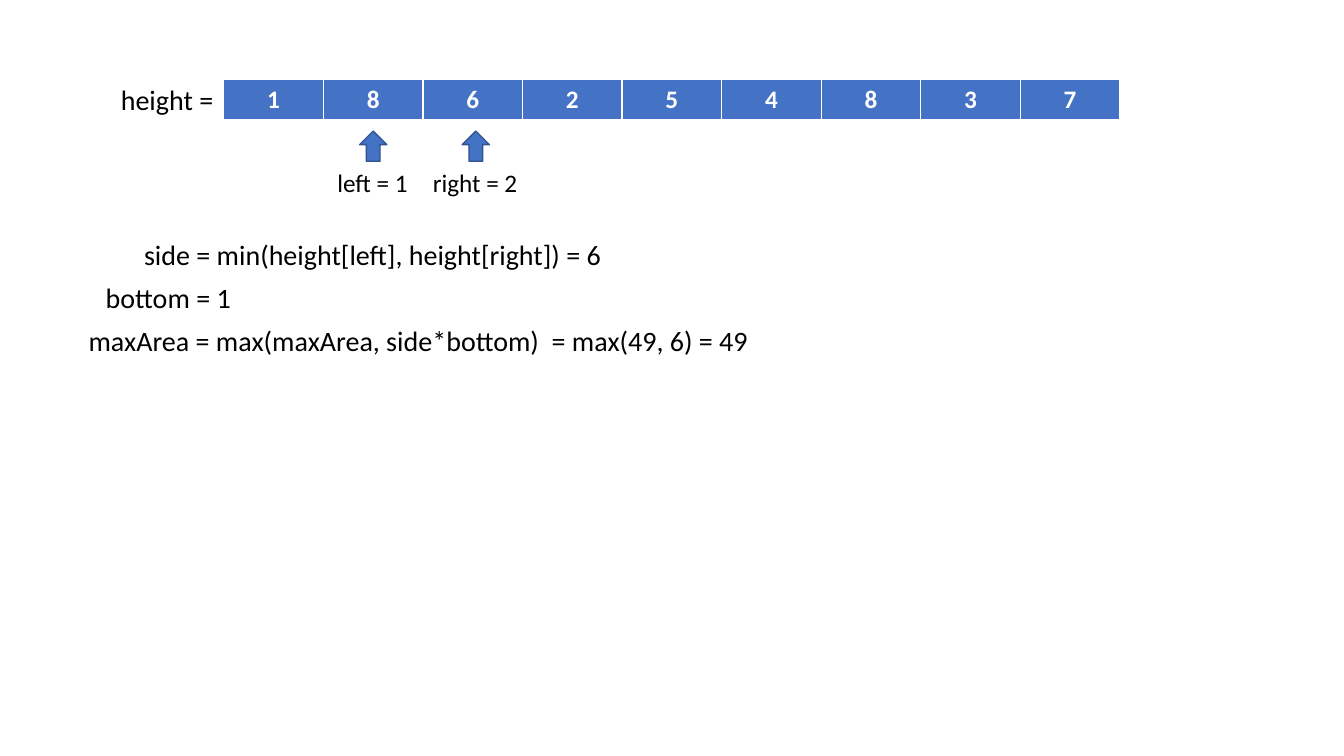
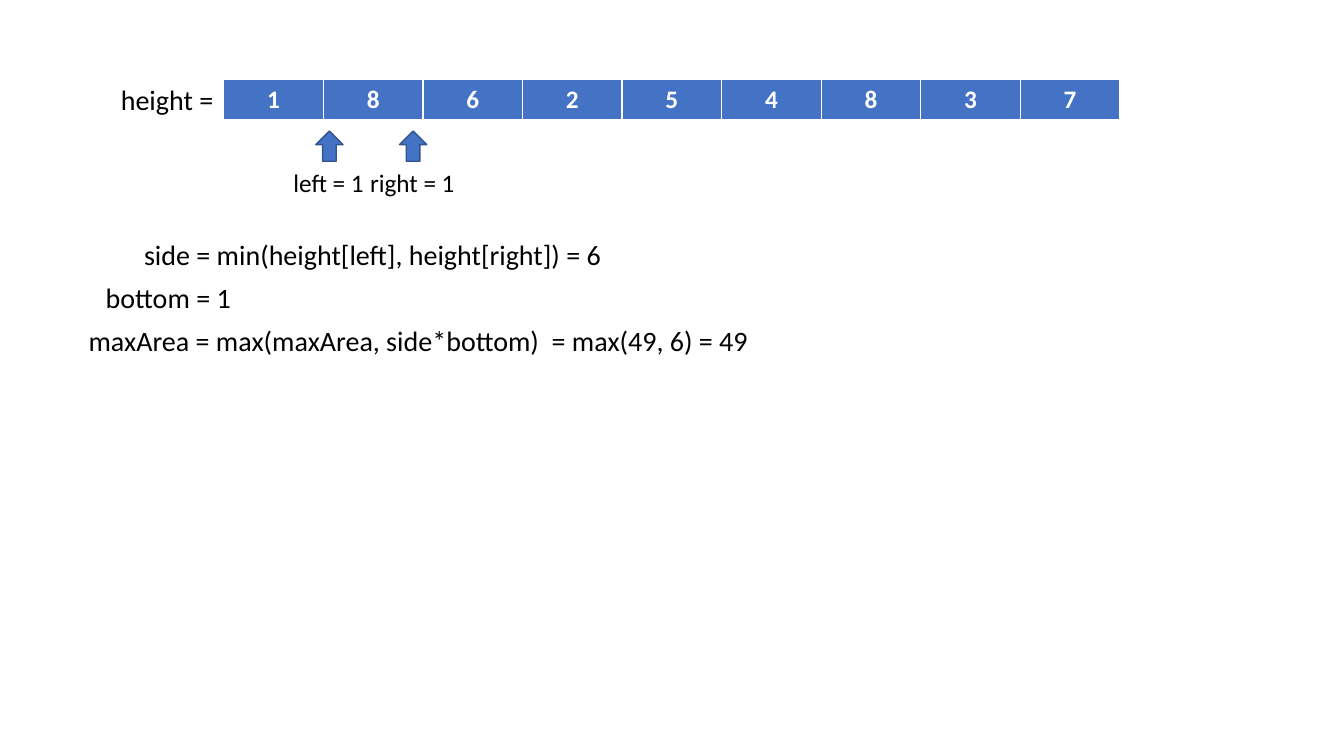
from dataclasses import dataclass

from lxml import etree
from pptx import Presentation
from pptx import util as u
from pptx.dml.color import RGBColor
from pptx.enum import shapes, text
from pptx.oxml import ns

# Shared look
FONT = "Calibri"
BLUE, DARK_BLUE, WHITE, BLACK = "4472C4", "325491", "FFFFFF", "000000"
BORDERS = {"lnL": 1, "lnR": 1, "lnT": 1, "lnB": 3}

# Array grid, in inches
HEIGHTS = (1, 8, 6, 2, 5, 4, 8, 3, 7)
GRID_LEFT, GRID_TOP, GRID_WIDTH, ROW_HEIGHT = 2.22, 0.79, 8.89, 0.41
COLUMN = GRID_WIDTH / len(HEIGHTS)

# Pointer markers, in inches
ARROW_TOP, ARROW_WIDTH, ARROW_HEIGHT = 1.3, 0.27, 0.3
LABEL_TOP, LABEL_HEIGHT = 1.61, 0.4


@dataclass(frozen=True)
class Line:
    wording: str
    left: float
    top: float
    width: float
    height: float = 0.44
    size: int = 20
    wrap: bool = True


@dataclass(frozen=True)
class Pointer:
    label: str
    center: float  # in columns from the left edge of the array
    width: float


LINES = (
    Line("height =", 1.1, 0.77, 1.36),
    Line("bottom = 1", 0.95, 2.73, 4.19),
    Line("side = min(height[left], height[right]) = 6", 1.33, 2.31, 4.79, wrap=False),
    Line("maxArea = max(maxArea, side*bottom)  = max(49, 6) = 49", 0.78, 3.16, 7.92),
)

STEPS = (
    (Pointer("left = 1", 1.5, 0.91), Pointer("right = 2", 2.53, 1.05)),
    (Pointer("left = 1", 1.06, 0.91), Pointer("right = 1", 1.9, 1.05)),
)


def color(value: str) -> RGBColor:
    return RGBColor.from_string(value)


def inches(*lengths: float) -> list:
    return [u.Inches(length) for length in lengths]


def write(para, wording: str, size: int, ink: str, bold: bool = False) -> None:
    span = para.add_run()
    span.text = wording
    for name, value in {"name": FONT, "size": u.Pt(size), "bold": bold}.items():
        setattr(span.font, name, value)
    span.font.color.rgb = color(ink)


def add_line(parent, line: Line) -> None:
    box = parent.add_textbox(*inches(line.left, line.top, line.width, line.height))
    frame = box.text_frame
    frame.word_wrap = line.wrap
    frame.auto_size = text.MSO_AUTO_SIZE.SHAPE_TO_FIT_TEXT
    write(frame.paragraphs[0], line.wording, line.size, BLACK)


def add_borders(cell) -> None:
    properties = cell._tc.get_or_add_tcPr()
    for side, points in BORDERS.items():
        border = etree.SubElement(properties, ns.qn(f"a:{side}"), w=str(u.Pt(points)))
        fill = etree.SubElement(border, ns.qn("a:solidFill"))
        etree.SubElement(fill, ns.qn("a:srgbClr"), val=WHITE)


def add_array(page) -> None:
    place = inches(GRID_LEFT, GRID_TOP, GRID_WIDTH, ROW_HEIGHT)
    table = page.shapes.add_table(1, len(HEIGHTS), *place).table
    for column, (cell, value) in enumerate(zip(table.rows[0].cells, HEIGHTS)):
        table.columns[column].width = u.Inches(COLUMN)
        add_borders(cell)
        cell.fill.solid()
        cell.fill.fore_color.rgb = color(BLUE)
        para = cell.text_frame.paragraphs[0]
        para.alignment = text.PP_ALIGN.CENTER
        write(para, str(value), 18, WHITE, bold=True)


def add_pointer(page, pointer: Pointer) -> None:
    group = page.shapes.add_group_shape().shapes
    center = GRID_LEFT + pointer.center * COLUMN
    arrow = group.add_shape(
        shapes.MSO_SHAPE.DOWN_ARROW,
        *inches(center - ARROW_WIDTH / 2, ARROW_TOP, ARROW_WIDTH, ARROW_HEIGHT),
    )
    arrow.rotation = 180
    arrow.shadow.inherit = False
    arrow.fill.solid()
    arrow.fill.fore_color.rgb = color(BLUE)
    arrow.line.color.rgb = color(DARK_BLUE)
    arrow.line.width = u.Pt(1)
    add_line(group, Line(pointer.label, center - pointer.width / 2, LABEL_TOP,
                         pointer.width, LABEL_HEIGHT, size=18, wrap=False))


def main() -> None:
    deck = Presentation()
    deck.slide_width, deck.slide_height = inches(13.33, 7.5)
    blank = deck.slide_layouts.get_by_name("Blank")
    for pointers in STEPS:
        page = deck.slides.add_slide(blank)
        add_array(page)
        for pointer in pointers:
            add_pointer(page, pointer)
        for line in LINES:
            add_line(page.shapes, line)
    deck.save("out.pptx")


if __name__ == "__main__":
    main()
